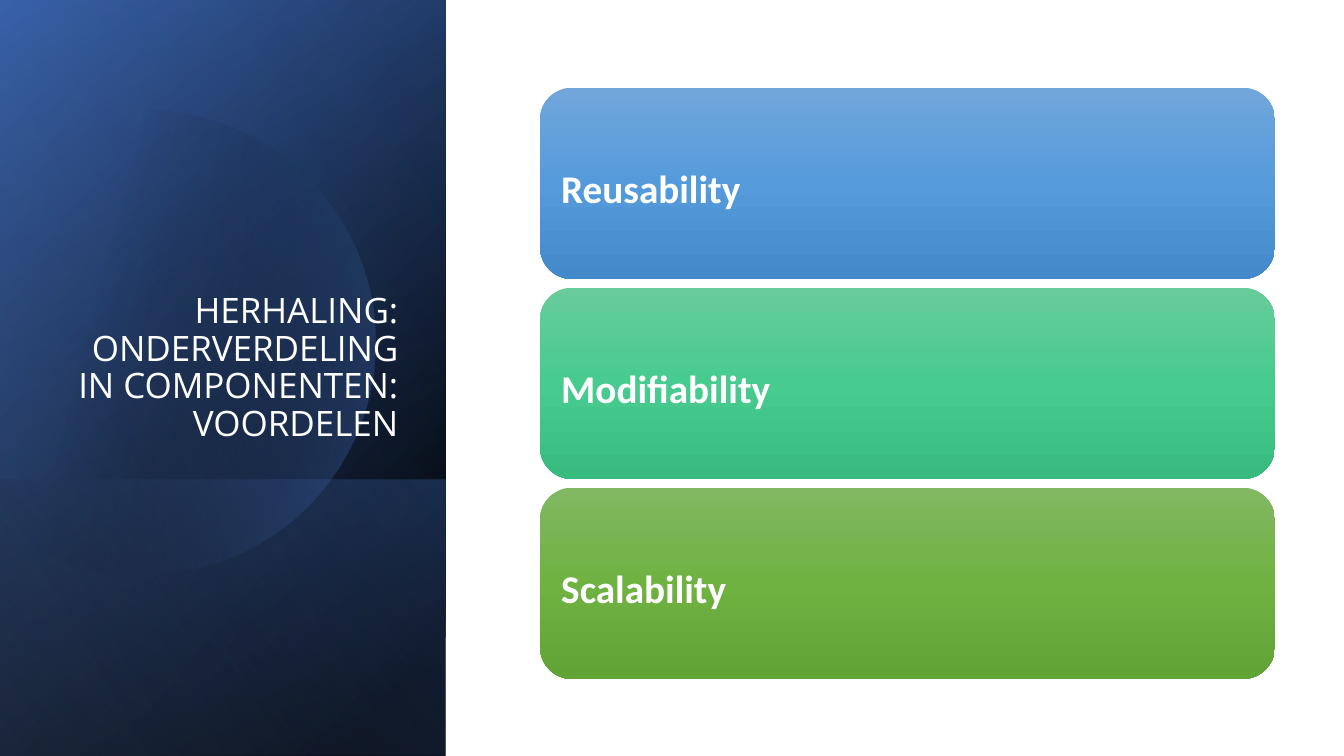
import math

import pptx
import pptx.dml.color
import pptx.enum.shapes
import pptx.enum.text
import pptx.oxml.ns
import pptx.util
from lxml import etree
from pptx.util import Cm

RGBColor = pptx.dml.color.RGBColor
MSO_SHAPE = pptx.enum.shapes.MSO_SHAPE
MSO_ANCHOR = pptx.enum.text.MSO_ANCHOR
PP_ALIGN = pptx.enum.text.PP_ALIGN
qn = pptx.oxml.ns.qn

WHITE = RGBColor(0xFF, 0xFF, 0xFF)
BLACK = RGBColor(0x00, 0x00, 0x00)
NAVY = RGBColor(0x2F, 0x55, 0x97)
BLUE = RGBColor(0x44, 0x72, 0xC4)
PALE_BLUE = RGBColor(0x8F, 0xAA, 0xDC)
SKY_SHADES = [RGBColor(0x71, 0xA6, 0xDB), RGBColor(0x55, 0x9B, 0xDB), RGBColor(0x44, 0x8A, 0xCA)]
MINT_SHADES = [RGBColor(0x67, 0xCC, 0x9A), RGBColor(0x47, 0xCB, 0x8E), RGBColor(0x39, 0xBB, 0x7F)]
LEAF_SHADES = [RGBColor(0x81, 0xB8, 0x61), RGBColor(0x6F, 0xB2, 0x42), RGBColor(0x62, 0xA3, 0x36)]

TITLE = "HERHALING:\vONDERVERDELING IN COMPONENTEN: VOORDELEN"
CARDS = [
    ("Reusability", SKY_SHADES),
    ("Modifiability", MINT_SHADES),
    ("Scalability", LEAF_SHADES),
]


def paint_gradient(shape, angle, stops):
    """Fill with (percent, colour, opacity percent) stops; angle is clockwise degrees."""
    shape.shadow.inherit = False
    shape.line.fill.background()
    shape.fill.background()
    gradient = etree.Element(qn("a:gradFill"), rotWithShape="1")
    stop_list = etree.SubElement(gradient, qn("a:gsLst"))
    for position, color, opacity in stops:
        stop = etree.SubElement(stop_list, qn("a:gs"), pos=str(position * 1000))
        tint = etree.SubElement(stop, qn("a:srgbClr"), val=str(color))
        if opacity < 100:
            etree.SubElement(tint, qn("a:alpha"), val=str(opacity * 1000))
    etree.SubElement(gradient, qn("a:lin"), ang=str(angle * 60000), scaled="0")
    properties = shape.element.spPr
    properties.replace(properties.find(qn("a:noFill")), gradient)


def add_panel(page, left, top, width, height, angle, stops):
    panel = page.shapes.add_shape(
        MSO_SHAPE.RECTANGLE, Cm(left), Cm(top), Cm(width), Cm(height))
    paint_gradient(panel, angle, stops)


def add_disc(page, center_x, center_y, radius, left_edge):
    """Draw a disc cut off by the vertical line at left_edge."""
    limit = math.acos((left_edge - center_x) / radius)
    steps = 120
    angles = [limit * (2 * step / steps - 1) for step in range(steps + 1)]
    points = [(Cm(center_x + radius * math.cos(angle)),
               Cm(center_y + radius * math.sin(angle))) for angle in angles]
    builder = page.shapes.build_freeform(*points[0])
    builder.add_line_segments(points[1:], close=True)
    paint_gradient(builder.convert_to_shape(), 14, [(29, BLACK, 0), (100, BLUE, 43)])


def add_sidebar(page, left, top, width, height):
    box = (left, top, width, height)
    band_height = 6.96
    add_panel(page, *box, 220, [(8, BLACK, 100), (100, NAVY, 100)])
    add_panel(page, *box, 240, [(0, BLACK, 0), (99, BLUE, 46)])
    add_panel(page, left, top + height - band_height, width, band_height, 140,
              [(2, BLUE, 29), (100, BLACK, 30)])
    add_disc(page, left + 3.61, top + 8.62, 5.85, left)
    add_panel(page, *box, 150, [(0, BLACK, 0), (99, PALE_BLUE, 11)])
    place_title(page, left + 1.63, top + 4.67, 8.66, 6.65)


def place_title(page, left, top, width, height):
    title = page.shapes.title
    title.left, title.top, title.width, title.height = Cm(left), Cm(top), Cm(width), Cm(height)
    title.element.getparent().append(title.element)
    frame = title.text_frame
    frame.text = TITLE
    frame.word_wrap = True
    frame.auto_size = pptx.enum.text.MSO_AUTO_SIZE.NONE
    frame.vertical_anchor = MSO_ANCHOR.BOTTOM
    para = frame.paragraphs[0]
    para.alignment = PP_ALIGN.RIGHT
    para.line_spacing = 0.9
    format_font(para.font, "Open Sans", 25)


def format_font(font, name, size, bold=False):
    font.name = name
    font.size = pptx.util.Pt(size)
    font.bold = bold
    font.color.rgb = WHITE


def add_cards(page, left, top, width, height):
    gap = 0.22
    card_height = (height - gap * (len(CARDS) - 1)) / len(CARDS)
    for index, (label, shades) in enumerate(CARDS):
        card_top = top + index * (card_height + gap)
        card = page.shapes.add_shape(
            MSO_SHAPE.ROUNDED_RECTANGLE, Cm(left), Cm(card_top), Cm(width), Cm(card_height))
        paint_gradient(card, 90, [(50 * step, shade, 100) for step, shade in enumerate(shades)])
        frame = card.text_frame
        frame.text = label
        frame.word_wrap = True
        frame.vertical_anchor = MSO_ANCHOR.MIDDLE
        frame.margin_left = frame.margin_right = frame.margin_bottom = Cm(0.3)
        frame.margin_top = Cm(0.7)
        para = frame.paragraphs[0]
        para.alignment = PP_ALIGN.LEFT
        para.line_spacing = 0.9
        format_font(para.font, "Calibri", 28, bold=True)


def main():
    deck = pptx.Presentation()
    deck.slide_width, deck.slide_height = Cm(33.87), Cm(19.05)
    title_only = deck.slide_layouts.get_by_name("Title Only")
    page = deck.slides.add_slide(title_only)
    add_sidebar(page, 0, 0, 11.23, 19.05)
    add_cards(page, 13.61, 2.21, 18.52, 14.9)
    deck.save("out.pptx")


if __name__ == "__main__":
    main()
